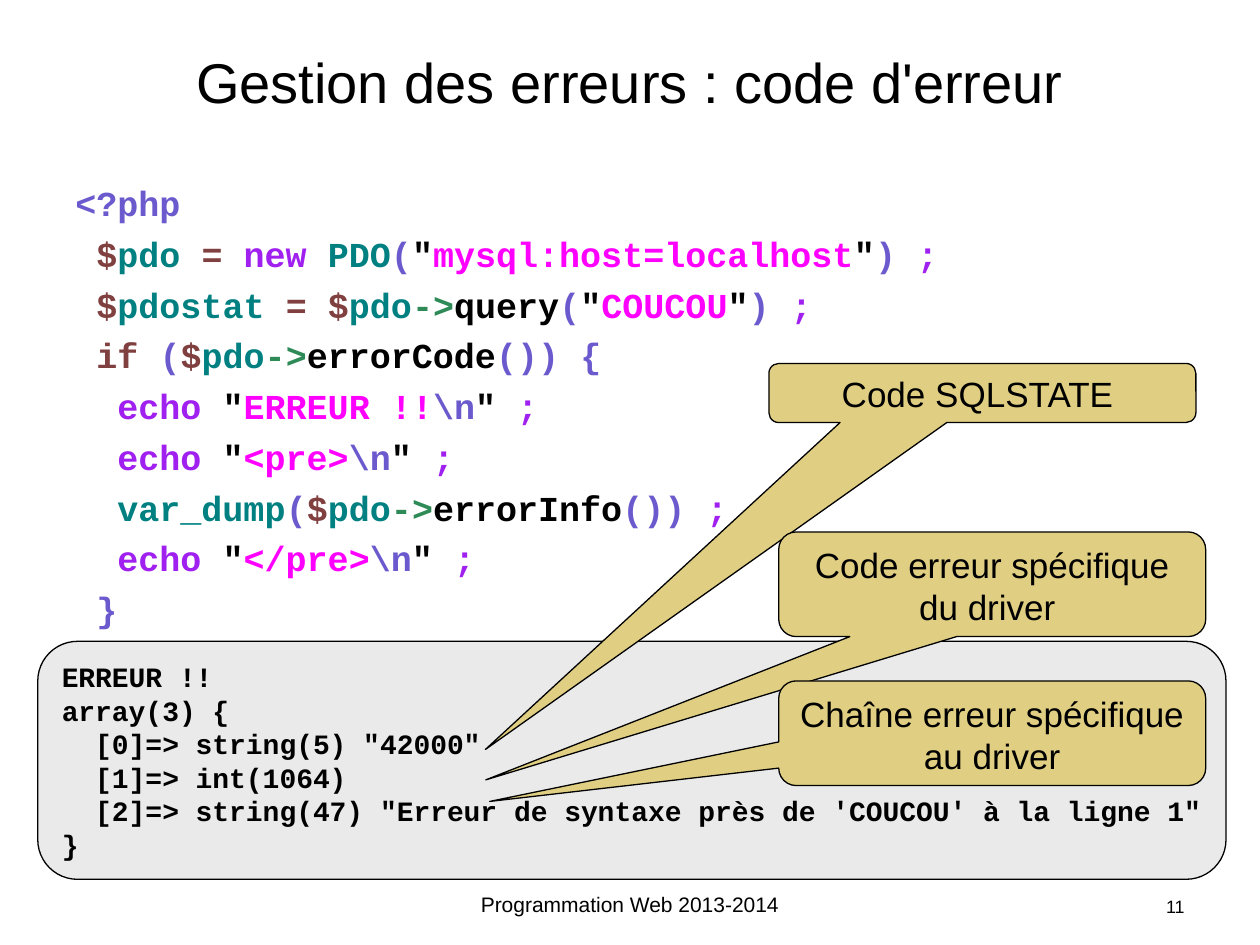
from pptx import Presentation
from pptx.dml.color import RGBColor
from pptx.enum.shapes import MSO_SHAPE as SHAPE
from pptx.enum.text import MSO_ANCHOR as ANCHOR, PP_ALIGN as ALIGN
from pptx.util import Pt

BLACK, SLATE, BROWN, TEAL = "000000", "6A5ACD", "804040", "008080"
PURPLE, PINK, GREEN = "A020F0", "FF00FF", "2E8B57"
GREY, SAND = "EAEAEA", "E0CE82"

TITLE = {"size": Pt(32), "name": "Arial"}
CODE = {"size": Pt(20), "name": "Courier New", "bold": True}
OUTPUT = {"size": Pt(16), "name": "Courier New", "bold": True}
LABEL = {"size": Pt(20), "name": "Arial"}
FOOTER = {"size": Pt(12), "name": "Arial"}
NUMBER = {"size": Pt(10.2), "name": "Arial"}

END = [(") ", SLATE), (";", PURPLE)]


def quoted(text):
    return [('"', BLACK), (text, PINK), ('"', BLACK)]


def method(name):
    return [("$", BROWN), ("pdo", TEAL), ("->", GREEN), (name, BLACK)]


def echo(text):
    return [("  echo", PURPLE), (' "', BLACK), (text, PINK),
            ("\\n", SLATE), ('" ', BLACK), (";", PURPLE)]


PHP_LINES = [
    [("<?php", SLATE)],
    [(" $", BROWN), ("pdo ", TEAL), ("= ", BROWN), ("new ", PURPLE),
     ("PDO", TEAL), ("(", SLATE), *quoted("mysql:host=localhost"), *END],
    [(" $", BROWN), ("pdostat ", TEAL), ("= ", BROWN), *method("query"),
     ("(", SLATE), *quoted("COUCOU"), *END],
    [(" if ", BROWN), ("(", SLATE), *method("errorCode"), ("()) {", SLATE)],
    echo("ERREUR !!"),
    echo("<pre>"),
    [("  var_dump", TEAL), ("(", SLATE), *method("errorInfo"),
     ("()", SLATE), *END],
    echo("</pre>"),
    [(" }", SLATE)],
]

OUTPUT_LINES = [
    "ERREUR !!",
    "array(3) {",
    '  [0]=> string(5) "42000"',
    "  [1]=> int(1064)",
    "  [2]=> string(47) \"Erreur de syntaxe près de 'COUCOU' à la ligne 1\"",
    "}",
]

CALLOUTS = [
    ("Code SQLSTATE ", (439.4, 207.7, 244, 33.8), (-1.164, 6.029, 0.167)),
    ("Code erreur spécifique du driver ", (445, 304, 244, 59.8),
     (-1.186, 1.869, 0.167)),
    ("Chaîne erreur spécifique au driver", (445, 389.1, 244, 59.8),
     (-1.177, 0.652, 0.167)),
]


def color(value):
    return RGBColor.from_string(value)


def plain(*lines):
    return [[(line, BLACK)] for line in lines]


def write(tf, lines, font, align=ALIGN.LEFT, anchor=ANCHOR.TOP, wrap=True, gap=0):
    tf.word_wrap, tf.vertical_anchor = wrap, anchor
    for i, line in enumerate(lines):
        p = tf.paragraphs[0] if i == 0 else tf.add_paragraph()
        p.alignment = align
        p.space_before = Pt(gap if i else 0)
        for text, value in line:
            r = p.add_run()
            r.text = text
            for key, val in font.items():
                setattr(r.font, key, val)
            r.font.color.rgb = color(value)


def add_title(s, text, box):
    sp = s.shapes.title
    sp.left, sp.top, sp.width, sp.height = map(Pt, box)
    write(sp.text_frame, plain(text), TITLE, ALIGN.CENTER, ANCHOR.MIDDLE)


def add_text(s, box, lines, font, **layout):
    sp = s.shapes.add_textbox(*map(Pt, box))
    write(sp.text_frame, lines, font, **layout)


def add_box(s, kind, box, adjustments, fill, lines, font, **layout):
    sp = s.shapes.add_shape(kind, *map(Pt, box))
    for i, value in enumerate(adjustments):
        sp.adjustments[i] = value
    sp.shadow.inherit = False
    sp.fill.solid()
    sp.fill.fore_color.rgb = color(fill)
    sp.line.color.rgb = color(BLACK)
    sp.line.width = Pt(0.75)
    write(sp.text_frame, lines, font, **layout)


def main():
    prs = Presentation()
    prs.slide_width, prs.slide_height = Pt(720), Pt(540)
    s = prs.slides.add_slide(prs.slide_layouts[5])
    add_text(s, (516, 508.3, 168, 19.4), plain("11"), NUMBER,
             align=ALIGN.RIGHT, anchor=ANCHOR.BOTTOM)
    add_text(s, (246, 508, 228, 19.4), plain("Programmation Web 2013-2014"),
             FOOTER, align=ALIGN.CENTER, anchor=ANCHOR.BOTTOM)
    add_title(s, "Gestion des erreurs : code d'erreur", (36, 21.6, 648, 49.7))
    add_text(s, (36, 100.2, 648, 264), PHP_LINES, CODE, gap=5)
    add_box(s, SHAPE.ROUNDED_RECTANGLE, (21.6, 366.5, 679, 136), (0.167,), GREY,
            plain(*OUTPUT_LINES), OUTPUT, anchor=ANCHOR.MIDDLE, wrap=False)
    for text, box, adjustments in CALLOUTS:
        add_box(s, SHAPE.ROUNDED_RECTANGULAR_CALLOUT, box, adjustments, SAND,
                plain(text), LABEL, align=ALIGN.CENTER)
    prs.save("out.pptx")


if __name__ == "__main__":
    main()
